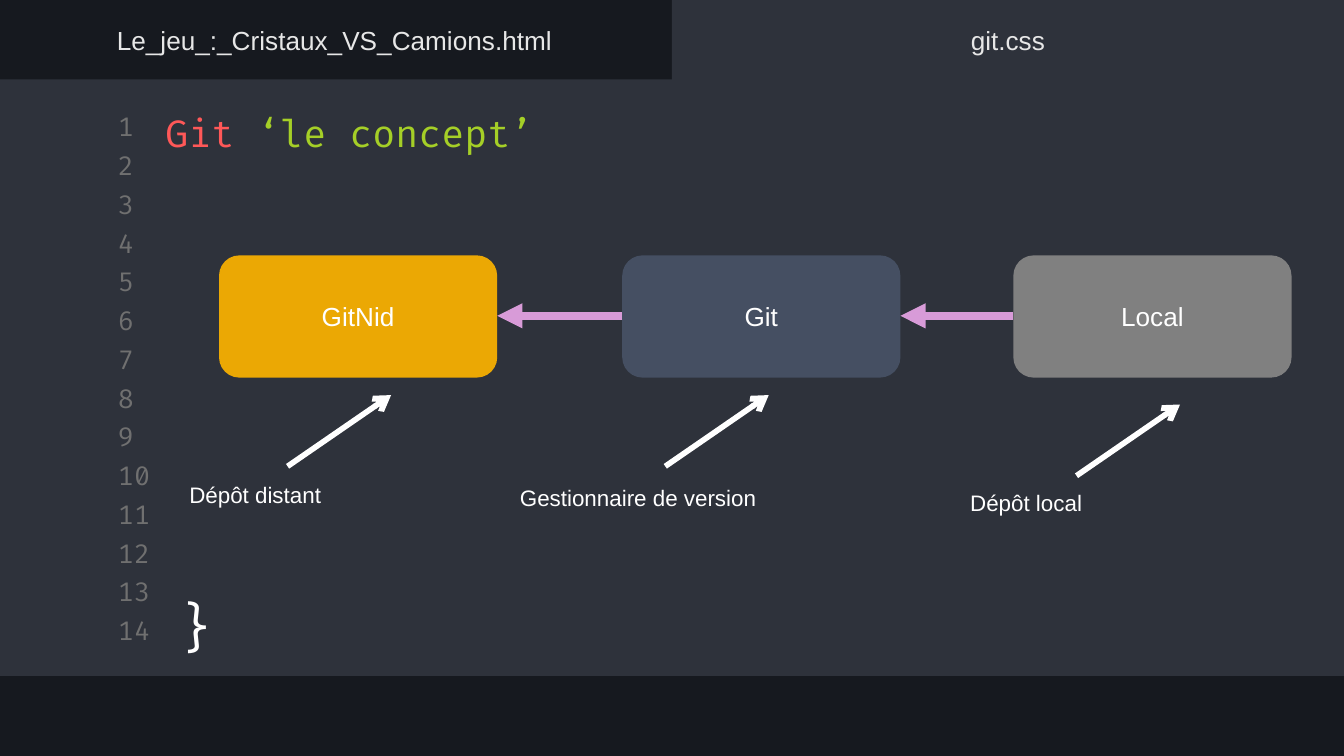
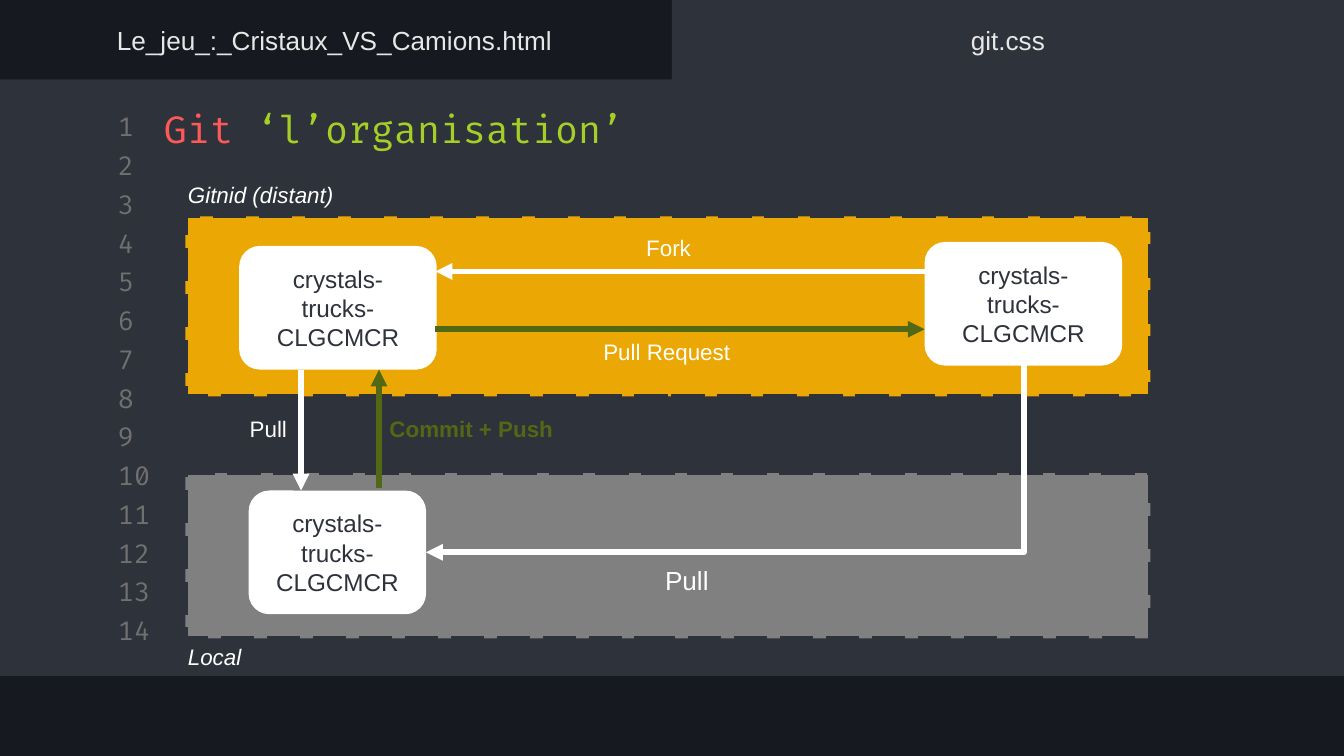
from dataclasses import dataclass

from lxml.etree import SubElement
from pptx import Presentation
from pptx.dml.color import RGBColor
from pptx.enum.dml import MSO_LINE
from pptx.enum.shapes import MSO_CONNECTOR, MSO_SHAPE
from pptx.enum.text import MSO_ANCHOR, MSO_AUTO_SIZE, PP_ALIGN
from pptx.oxml.ns import qn
from pptx.shapes.base import BaseShape
from pptx.shapes.connector import Connector
from pptx.slide import Slide
from pptx.util import Inches, Pt

HEX = {
    "night": "16191F", "page": "2E323B", "number": "707070", "tab": "E7E7E7",
    "red": "FF5858", "lime": "A5CF27", "white": "FFFFFF", "amber": "EBA804",
    "slate": "454F62", "gray": "808080", "pink": "D89BD8", "moss": "526814",
}
SANS, CODE = "Arial", "Fira Code"
TABS = ((-0.01, "Le_jeu_:_Cristaux_VS_Camions.html"), (5, "git.css"))
LINES = 14
STEP = 3.75 / (LINES - 1)
REPO = "crystals-trucks-CLGCMCR"


@dataclass
class Box:
    x: float
    y: float
    w: float
    h: float
    fill: str
    text: str = ""
    size: float = 14
    color: str = "white"
    round: bool = True
    dash: bool = False


@dataclass
class Label:
    text: str
    x: float
    y: float
    w: float
    size: float = 12
    color: str = "white"
    bold: bool = False
    slant: bool = False
    wrap: bool = True


@dataclass
class Arrow:
    start: tuple[float, float]
    end: tuple[float, float]
    color: str = "white"
    width: float = 3
    tip: str = "triangle"


def paint(name: str) -> RGBColor:
    return RGBColor.from_string(HEX[name])


def write(shape: BaseShape, *parts: tuple[str, str], size: float = 12,
          font: str = SANS, align: PP_ALIGN = PP_ALIGN.LEFT,
          anchor: MSO_ANCHOR = MSO_ANCHOR.TOP, inset: float = 0.05,
          bold: bool = False, slant: bool = False, wrap: bool = True) -> None:
    """Fill a shape with one paragraph of (text, colour) parts."""
    frame = shape.text_frame
    frame.auto_size = MSO_AUTO_SIZE.NONE
    frame.word_wrap = wrap
    frame.vertical_anchor = anchor
    frame.margin_left = frame.margin_right = Inches(0.1)
    frame.margin_top = frame.margin_bottom = Inches(inset)
    line = frame.paragraphs[0]
    line.alignment = align
    for text, color in parts:
        run = line.add_run()
        run.text = text
        run.font.name = font
        run.font.size = Pt(size)
        run.font.bold = bold
        run.font.italic = slant
        run.font.color.rgb = paint(color)


def add_text(slide: Slide, x: float, y: float, w: float, h: float,
             text: str, color: str, **form) -> None:
    box = slide.shapes.add_textbox(Inches(x), Inches(y), Inches(w), Inches(h))
    write(box, (text, color), **form)


def add_box(slide: Slide, box: Box) -> None:
    kind = MSO_SHAPE.ROUNDED_RECTANGLE if box.round else MSO_SHAPE.RECTANGLE
    shape = slide.shapes.add_shape(
        kind, Inches(box.x), Inches(box.y), Inches(box.w), Inches(box.h))
    shape.shadow.inherit = False
    shape.fill.solid()
    shape.fill.fore_color.rgb = paint(box.fill)
    if box.dash:
        shape.line.color.rgb = paint("page")
        shape.line.width = Pt(2.25)
        shape.line.dash_style = MSO_LINE.LONG_DASH
    else:
        shape.line.fill.background()
    if box.text:
        write(shape, (box.text, box.color), size=box.size,
              align=PP_ALIGN.CENTER, anchor=MSO_ANCHOR.MIDDLE)


def add_label(slide: Slide, label: Label) -> None:
    add_text(slide, label.x, label.y, label.w, 0.3, label.text, label.color,
             size=label.size, bold=label.bold, slant=label.slant, wrap=label.wrap)


def add_arrow(slide: Slide, arrow: Arrow) -> Connector:
    ends = [Inches(n) for n in (*arrow.start, *arrow.end)]
    link = slide.shapes.add_connector(MSO_CONNECTOR.STRAIGHT, *ends)
    link.line.color.rgb = paint(arrow.color)
    link.line.width = Pt(arrow.width)
    props = link.element.spPr
    SubElement(props.find(qn("a:ln")), qn("a:tailEnd"), type=arrow.tip)
    SubElement(props, qn("a:effectLst"))
    return link


def add_bend(slide: Slide, arrow: Arrow) -> None:
    """Go down from the start, then left to the end: a quarter-turned elbow."""
    link = add_arrow(slide, arrow)
    (x1, y1), (x2, y2) = arrow.start, arrow.end
    w, h = y2 - y1, x1 - x2
    link.left, link.top = Inches((x1 + x2 - w) / 2), Inches((y1 + y2 - h) / 2)
    link.width, link.height = Inches(w), Inches(h)
    props = link.element.spPr
    form = props.find(qn("a:xfrm"))
    form.attrib.pop("flipH", None)
    form.set("rot", str(90 * 60000))
    props.find(qn("a:prstGeom")).set("prst", "bentConnector2")


def add_page(deck, topic: str, x: float, y: float, w: float, h: float) -> Slide:
    """Add a slide with the editor frame and its title."""
    slide = deck.slides.add_slide(deck.slide_layouts[5])
    slide.background.fill.solid()
    slide.background.fill.fore_color.rgb = paint("night")
    # Page, open tab and line numbers
    add_box(slide, Box(0, 0.59, 10, 4.44, "page", round=False))
    add_box(slide, Box(5, 0, 5, 0.65, "page", round=False))
    for row in range(LINES):
        add_text(slide, 0.78, 0.82 + row * STEP, 0.47, 0.24, str(row + 1), "number",
                 size=14, font=CODE, anchor=MSO_ANCHOR.MIDDLE, inset=0.1)
    for left, name in TABS:
        add_text(slide, left, 0.1, 5, 0.39, name, "tab", size=14, inset=0.1,
                 align=PP_ALIGN.CENTER, anchor=MSO_ANCHOR.MIDDLE)
    # Title, brought in front of the page
    title = slide.shapes.title
    title.left, title.top = Inches(x), Inches(y)
    title.width, title.height = Inches(w), Inches(h)
    write(title, ("Git ", "red"), (f"‘{topic}’", "lime"),
          size=20, font=CODE, inset=0.1)
    slide.shapes.element.append(title.element)
    return slide


def add_idea(deck) -> None:
    slide = add_page(deck, "le concept", 1.13, 0.72, 7.97, 0.59)
    add_text(slide, 1.19, 4.32, 0.55, 0.67, "}", "white", size=28, font=CODE,
             align=PP_ALIGN.CENTER, inset=0.1)
    # Three places and the way between them
    width, mid = 2.07, 2.35
    lefts = (1.63, 4.63, 7.54)
    names = (("GitNid", "amber"), ("Git", "slate"), ("Local", "gray"))
    for x, (name, fill) in zip(lefts, names):
        add_box(slide, Box(x, 1.9, width, 0.91, fill, name))
    for left, right in zip(lefts, lefts[1:]):
        add_arrow(slide, Arrow((right, mid), (left + width, mid), "pink", 4.5))
    # Captions with pointers
    for x, y in ((2.14, 3.47), (4.95, 3.47), (8.01, 3.54)):
        add_arrow(slide, Arrow((x, y), (x + 0.77, y - 0.53), tip="arrow"))
    for label in (Label("Dépôt distant", 1.31, 3.53, 1.49),
                  Label("Gestionnaire de version", 3.77, 3.55, 2.53),
                  Label("Dépôt local", 7.12, 3.59, 1.28)):
        add_label(slide, label)


def add_flow(deck) -> None:
    slide = add_page(deck, "l’organisation", 1.12, 0.69, 4.04, 0.56)
    # Remote and local zones
    for y, h, fill in ((1.61, 1.34, "amber"), (3.52, 1.23, "gray")):
        add_box(slide, Box(1.38, y, 7.18, h, fill, round=False, dash=True))
    # Repositories
    for x, y, w in ((6.88, 1.8, 1.47), (1.85, 3.65, 1.32), (1.78, 1.83, 1.47)):
        add_box(slide, Box(x, y, w, 0.92, "white", REPO, 13, "page"))
    # Moves between repositories
    for arrow in (Arrow((6.88, 2.02), (3.24, 2.02)),
                  Arrow((3.24, 2.45), (6.88, 2.45), "moss"),
                  Arrow((2.82, 3.63), (2.82, 2.75), "moss"),
                  Arrow((2.24, 2.75), (2.24, 3.65))):
        add_arrow(slide, arrow)
    add_bend(slide, Arrow((7.62, 2.71), (3.17, 4.11)))
    for label in (Label("Fork", 4.71, 1.69, 0.54, wrap=False),
                  Label("Pull Request", 4.39, 2.47, 1.15, wrap=False),
                  Label("Pull", 4.85, 4.15, 0.53, size=14, wrap=False),
                  Label("Commit + Push", 2.8, 3.04, 1.43, color="moss",
                        bold=True, wrap=False),
                  Label("Pull", 1.76, 3.04, 1.37),
                  Label("Gitnid (distant)", 1.3, 1.3, 2.4, slant=True),
                  Label("Local", 1.3, 4.74, 2.67, slant=True)):
        add_label(slide, label)


def main() -> None:
    deck = Presentation()
    # Widescreen, 16 to 9
    deck.slide_width = Inches(10)
    deck.slide_height = Inches(10) * 9 // 16
    add_idea(deck)
    add_flow(deck)
    deck.save("out.pptx")


if __name__ == "__main__":
    main()
